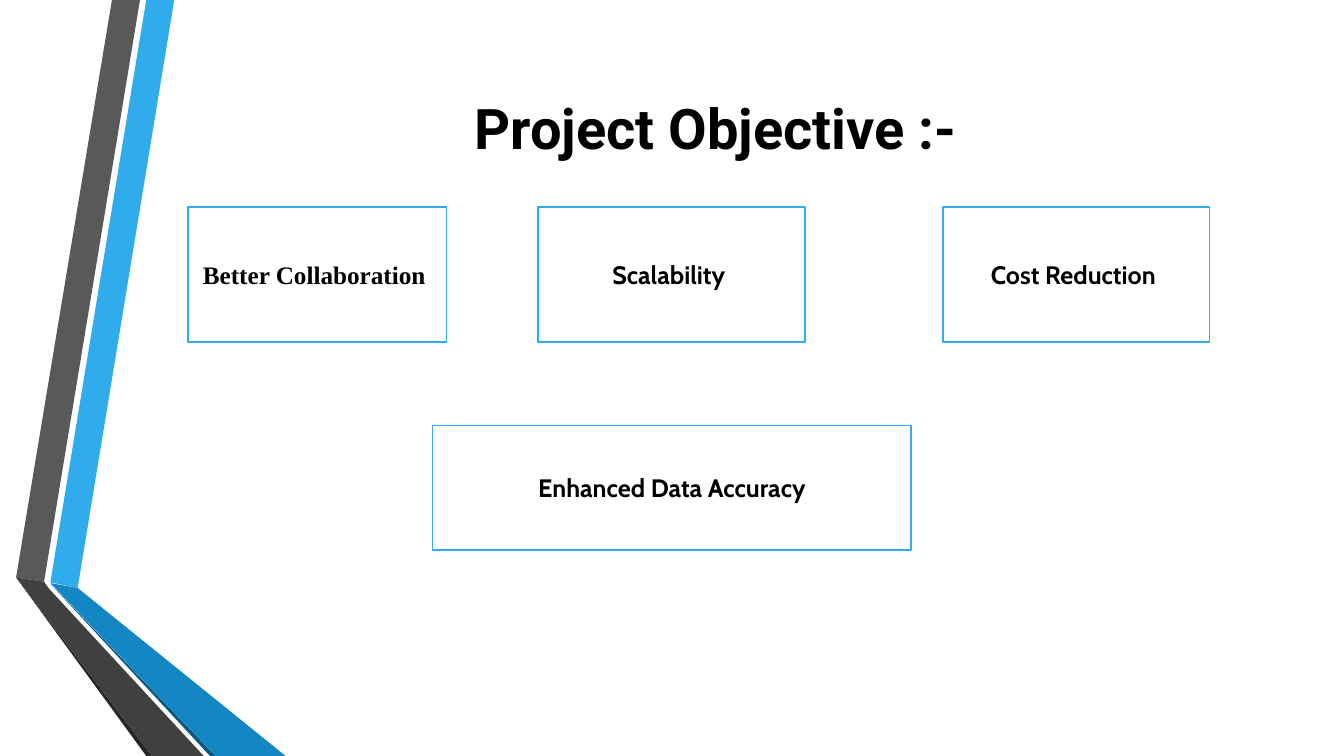
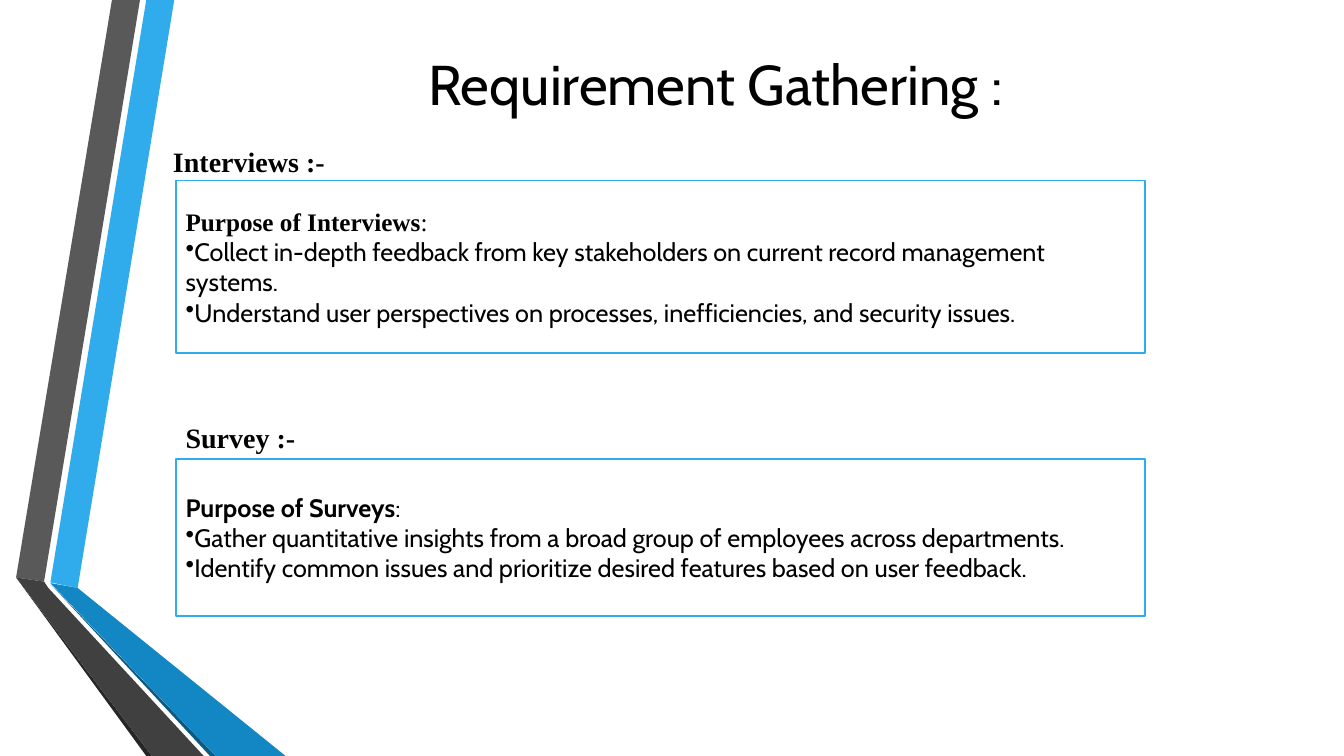
import pptx
import pptx.dml.color
import pptx.enum.shapes
import pptx.enum.text
import pptx.oxml
import pptx.util
from pptx.oxml import ns

Pt = pptx.util.Pt
RGBColor = pptx.dml.color.RGBColor
ALIGN = pptx.enum.text.PP_ALIGN
ANCHOR = pptx.enum.text.MSO_ANCHOR

BLACK = RGBColor(0x00, 0x00, 0x00)
WHITE = RGBColor(0xFF, 0xFF, 0xFF)
SKY = RGBColor(0x30, 0xAC, 0xEC)
BLUE = RGBColor(0x12, 0x87, 0xC3)
NAVY = RGBColor(0x0C, 0x5A, 0x82)
GREY = RGBColor(0x59, 0x59, 0x59)
CHARCOAL = RGBColor(0x40, 0x40, 0x40)
SOOT = RGBColor(0x26, 0x26, 0x26)

CABIN = "Cabin"
ROBOTO = "Roboto"
TIMES = "Times New Roman"

# Folded ribbon at the left edge: colour and corners, back to front
RIBBONS = [
    (SKY, [(36, 416), (55.5, 420), (124.5, 0), (104.5, 0)]),
    (GREY, [(100, 0), (80, 0), (11.5, 412.5), (31.5, 415.5)]),
    (SOOT, [(11.5, 412.5), (104.5, 540), (108.5, 540)]),
    (NAVY, [(36, 417), (150, 540), (154, 540)]),
    (BLUE, [(36, 416.5), (154, 540), (204, 540), (55.5, 420)]),
    (CHARCOAL, [(145.5, 540), (34.5, 420), (31.5, 415.5), (11.5, 412.5),
                (108.5, 540)]),
]


class Deck:
    """The presentation, its style and the page being filled."""

    def __init__(self):
        self.file = pptx.Presentation()
        self.file.slide_width, self.file.slide_height = Pt(960), Pt(540)
        self.page = None

    def new_page(self):
        self.page = self.file.slides.add_slide(self.file.slide_layouts[6])
        for colour, corners in RIBBONS:
            self.ribbon(colour, corners)

    def ribbon(self, colour, corners):
        points = [(Pt(x), Pt(y)) for x, y in corners]
        builder = self.page.shapes.build_freeform(*points[0])
        builder.add_line_segments(points[1:], close=True)
        shape = builder.convert_to_shape()
        shape.shadow.inherit = False
        shape.fill.solid()
        shape.fill.fore_color.rgb = colour
        shape.line.fill.background()

    def style(self, para, font, size, bold=False, align=ALIGN.LEFT):
        para.alignment = align
        para.font.name, para.font.size = font, Pt(size)
        para.font.bold = bold
        para.font.color.rgb = BLACK

    def text(self, text, left, top, width, height, font, size, bold=True,
             align=ALIGN.LEFT, anchor=ANCHOR.TOP):
        box = self.page.shapes.add_textbox(Pt(left), Pt(top), Pt(width), Pt(height))
        frame = box.text_frame
        frame.word_wrap = True
        frame.vertical_anchor = anchor
        frame.text = text
        self.style(frame.paragraphs[0], font, size, bold, align)

    def title(self, text, top, height, font, bold):
        self.text(text, 116.5, top, 789, height, font, 40, bold,
                  ALIGN.CENTER, ANCHOR.MIDDLE)

    def panel(self, left, top, width, height):
        """Draw a white outlined rectangle and return its text frame."""
        box = self.page.shapes.add_shape(
            pptx.enum.shapes.MSO_SHAPE.RECTANGLE,
            Pt(left), Pt(top), Pt(width), Pt(height))
        box.shadow.inherit = False
        box.fill.solid()
        box.fill.fore_color.rgb = WHITE
        box.line.color.rgb = SKY
        box.line.width = Pt(1.25)
        box.text_frame.word_wrap = True
        box.text_frame.vertical_anchor = ANCHOR.MIDDLE
        return box.text_frame

    def card(self, text, left, top, width, height, font=CABIN):
        frame = self.panel(left, top, width, height)
        frame.text = text
        self.style(frame.paragraphs[0], font, 18, True, ALIGN.CENTER)

    def purpose(self, lead, bullets, top, height, lead_font):
        """Draw a panel with a bold lead, a colon and bulleted lines."""
        frame = self.panel(125.5, top, 692.5, height)
        para = frame.paragraphs[0]
        self.style(para, lead_font, 18)
        span = para.add_run()
        span.text = lead
        span.font.bold = True
        para.add_run().text = ":"
        for line in bullets:
            para = frame.add_paragraph()
            para.text = line
            self.style(para, CABIN, 18)
            mark = pptx.oxml.parse_xml(f'<a:buChar {ns.nsdecls("a")} char="•"/>')
            properties = para._p.get_or_add_pPr()
            properties.insert(0, mark)


def main():
    deck = Deck()

    deck.new_page()
    deck.card("Enhanced Data Accuracy", 309, 304, 342, 89)
    for text, left, width, font in [
        ("Cost Reduction ", 673.5, 190.5, CABIN),
        ("Scalability ", 384.5, 190.5, CABIN),
        ("Better Collaboration ", 134.5, 184.5, TIMES),
    ]:
        deck.card(text, left, 148, width, 96.5, font)
    deck.title("Project Objective :-", 42.5, 96.5, ROBOTO, True)

    deck.new_page()
    deck.purpose("Purpose of Surveys", [
        "Gather quantitative insights from a broad group of employees across departments.",
        "Identify common issues and prioritize desired features based on user feedback.",
    ], 328, 112, CABIN)
    deck.purpose("Purpose of Interviews", [
        "Collect in-depth feedback from key stakeholders on current record management systems.",
        "Understand user perspectives on processes, inefficiencies, and security issues.",
    ], 129, 123, TIMES)
    deck.title("Requirement Gathering :", 25, 68, CABIN, False)
    deck.text("Interviews :-", 116.5, 100, 216, 31.5, TIMES, 20)
    deck.text("Survey :-", 125.5, 296.5, 166, 31.5, TIMES, 20)

    deck.file.save("out.pptx")


if __name__ == "__main__":
    main()
